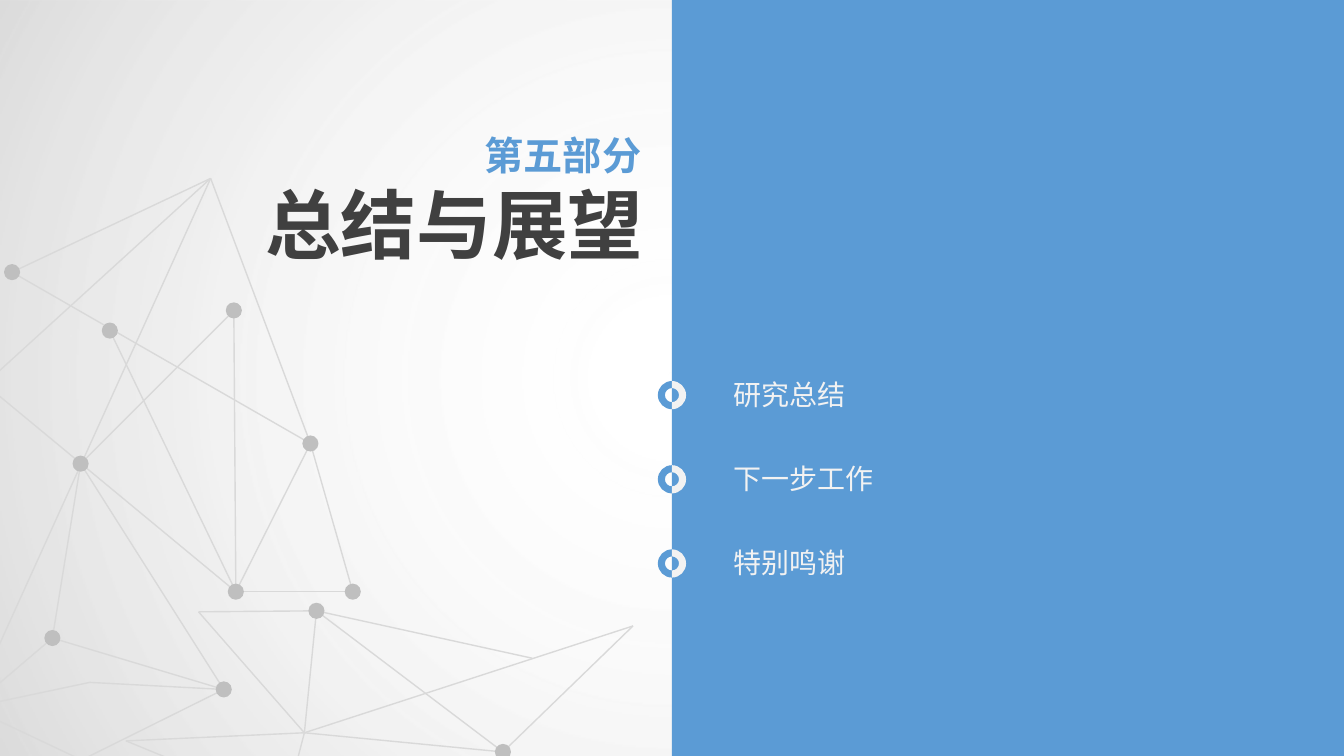
from lxml.etree import SubElement
from pptx import Presentation
from pptx.dml.color import RGBColor
from pptx.enum.shapes import MSO_CONNECTOR, MSO_SHAPE
from pptx.enum.text import MSO_AUTO_SIZE, PP_ALIGN
from pptx.oxml import parse_xml
from pptx.oxml.ns import nsdecls, qn
from pptx.util import Cm, Pt

FONT = "Noto Sans CJK SC"
COLOURS = {
    "blue": "5B9BD5",
    "pale": "F2F2F2",
    "dark": "404040",
    "edge": "D9D9D9",
    "node": "BFBFBF",
}
GLOW = [(0, "FFFFFF", 0), (67, "BFBFBF", 25), (100, "A6A6A6", 40)]
HEADINGS = [
    ("总结与展望", (2.49, 1.72, 3.99, 1.01), 54, "dark", PP_ALIGN.RIGHT),
    ("第五部分", (4.7, 1.25, 1.77, 0.57), 28, "blue", PP_ALIGN.CENTER),
]
TOPICS = [("研究总结", 1.32), ("下一步工作", 1.6), ("特别鸣谢", 1.32)]
NETWORKS = [
    {
        "dots": {"lower": (4.99, 7.46), "middle": (3.14, 6.06)},
        "corners": {
            "joint": (3.02, 7.27), "start": (1.97, 6.07), "below": (2.83, 8),
            "ground": (1.25, 7.35), "tip": (6.28, 6.21), "branch": (5.28, 6.53),
        },
        "edges": {
            "joint": ["lower", "middle", "below", "ground"],
            "start": ["middle", "joint"],
            "middle": ["lower"],
            "ground": ["below"],
            "tip": ["joint", "lower"],
            "branch": ["middle"],
        },
    },
    {
        "dots": {
            "west": (0.12, 2.7), "inner": (1.09, 3.28), "upper": (2.32, 3.08),
            "east": (3.08, 4.4), "heel": (3.5, 5.87), "hub": (2.34, 5.87),
            "left": (0.8, 4.6), "base": (2.22, 6.84), "foot": (0.52, 6.33),
        },
        "corners": {
            "peak": (2.09, 1.77), "high": (-0.15, 3.81), "low": (-0.29, 7.02),
            "bend": (0.89, 6.77), "bottom": (0.81, 7.54),
        },
        "edges": {
            "peak": ["high", "low", "east", "west"],
            "east": ["heel", "hub", "west"],
            "hub": ["high", "inner", "upper", "heel"],
            "upper": ["left"],
            "foot": ["left", "low", "base"],
            "base": ["left", "bend", "bottom"],
            "low": ["bend", "bottom"],
        },
    },
]
WIDTH, HEIGHT = 40 / 3, 7.5
MIDDLE = WIDTH / 2
DOT_SIZE = 0.16
TOPIC_TOP, TOPIC_LEFT, TOPIC_HEIGHT, TOPIC_STEP = 3.7, 7.18, 0.44, 0.83
RING_TOP, RING_STEP = 3.92, 0.835
RING_OUTER, RING_INNER, ROUNDNESS = 0.14, 0.07, 0.55


def length(inches):
    return Cm(inches * 2.54)


def paint(shape, colour):
    shape.shadow.inherit = False
    shape.fill.solid()
    shape.fill.fore_color.rgb = RGBColor.from_string(COLOURS[colour])
    shape.line.fill.background()


def add_preset(holder, kind, area, colour):
    shape = holder.shapes.add_shape(kind, *map(length, area))
    paint(shape, colour)
    return shape


def add_glow(page):
    shape = add_preset(page, MSO_SHAPE.RECTANGLE, (0, 0, WIDTH, HEIGHT), "pale")
    stops = "".join(
        f'<a:gs pos="{place * 1000}"><a:srgbClr val="{colour}">'
        f'<a:alpha val="{alpha * 1000}"/></a:srgbClr></a:gs>'
        for place, colour, alpha in GLOW
    )
    gradient = parse_xml(
        f'<a:gradFill {nsdecls("a")} rotWithShape="1"><a:gsLst>{stops}</a:gsLst>'
        '<a:path path="circle"><a:fillToRect l="50000" t="50000" r="50000" b="50000"/>'
        "</a:path></a:gradFill>"
    )
    properties = shape._element.spPr
    properties.replace(properties.find(qn("a:solidFill")), gradient)


def add_edge(group, begin, end):
    line = group.shapes.add_connector(
        MSO_CONNECTOR.STRAIGHT, *map(length, (*begin, *end))
    )
    line.line.color.rgb = RGBColor.from_string(COLOURS["edge"])
    line.line.width = Pt(1)
    SubElement(line._element.spPr, qn("a:effectLst"))


def add_network(page, network):
    group = page.shapes.add_group_shape()
    places = {**network["dots"], **network["corners"]}
    for begin, ends in network["edges"].items():
        for end in ends:
            add_edge(group, places[begin], places[end])
    for x, y in network["dots"].values():
        area = (x - DOT_SIZE / 2, y - DOT_SIZE / 2, DOT_SIZE, DOT_SIZE)
        add_preset(group, MSO_SHAPE.OVAL, area, "node")


def bend_segment(segment, begin, end):
    corner = (end[0], begin[1]) if begin[2] else (begin[0], end[1])
    curve = parse_xml(f'<a:cubicBezTo {nsdecls("a")}/>')
    for anchor in (begin, end):
        handle = [a + ROUNDNESS * (c - a) for a, c in zip(anchor, corner)]
        point = SubElement(curve, qn("a:pt"))
        point.set("x", str(round(handle[0])))
        point.set("y", str(round(handle[1])))
    curve.append(segment[0])
    segment.getparent().replace(segment, curve)


def add_half_ring(group, centre_y, side, colour):
    offsets = [
        (0, -RING_OUTER), (side * RING_OUTER, 0), (0, RING_OUTER),
        (0, RING_INNER), (side * RING_INNER, 0), (0, -RING_INNER),
    ]
    points = [(length(MIDDLE + x), length(centre_y + y)) for x, y in offsets]
    builder = group.shapes.build_freeform(*points[0])
    builder.add_line_segments(points[1:], close=True)
    shape = builder.convert_to_shape()
    paint(shape, colour)
    segments = list(shape._element.iter(qn("a:moveTo"), qn("a:lnTo")))
    spots = [
        (int(segment[0].get("x")), int(segment[0].get("y")), x == 0)
        for segment, (x, y) in zip(segments, offsets)
    ]
    for index in (1, 2, 4, 5):
        bend_segment(segments[index], spots[index - 1], spots[index])


def add_text(page, words, area, size, colour, align, bold=False):
    box = page.shapes.add_textbox(*map(length, area))
    box.text_frame.word_wrap = False
    box.text_frame.auto_size = MSO_AUTO_SIZE.SHAPE_TO_FIT_TEXT
    para = box.text_frame.paragraphs[0]
    para.alignment = align
    span = para.add_run()
    span.text = words
    span.font.size = Pt(size)
    span.font.bold = bold
    span.font.name = FONT
    span.font.color.rgb = RGBColor.from_string(COLOURS[colour])
    SubElement(span.font._element, qn("a:ea")).set("typeface", FONT)


def main():
    deck = Presentation()
    deck.slide_width, deck.slide_height = length(WIDTH), length(HEIGHT)
    page = deck.slides.add_slide(deck.slide_layouts[6])
    add_glow(page)
    for network in NETWORKS:
        add_network(page, network)
    add_preset(page, MSO_SHAPE.RECTANGLE, (MIDDLE, 0, MIDDLE, HEIGHT), "blue")
    for words, area, size, colour, align in HEADINGS:
        add_text(page, words, area, size, colour, align, bold=True)
    for index, (words, width) in enumerate(TOPICS):
        ring = page.shapes.add_group_shape()
        for side, colour in ((-1, "blue"), (1, "pale")):
            add_half_ring(ring, RING_TOP + index * RING_STEP, side, colour)
        area = (TOPIC_LEFT, TOPIC_TOP + index * TOPIC_STEP, width, TOPIC_HEIGHT)
        add_text(page, words, area, 20, "pale", PP_ALIGN.LEFT)
    deck.save("out.pptx")


if __name__ == "__main__":
    main()
